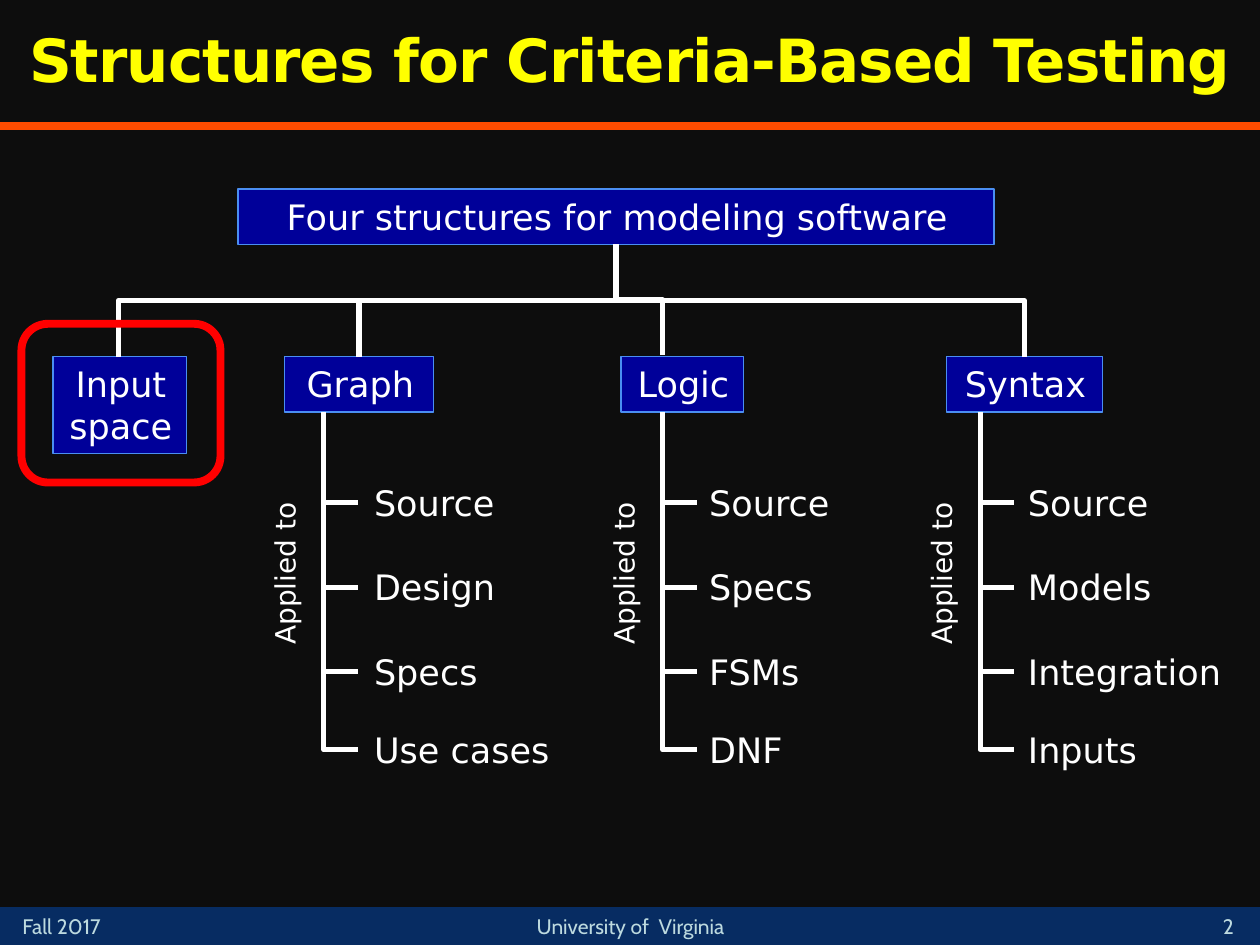
import pptx
import pptx.util
import pptx.dml.color
import pptx.enum.shapes
import pptx.enum.text
import pptx.oxml.ns
import lxml.etree

SCALE = 9144  # EMU per px, 100 px to the inch
SANS, CABIN = "DejaVu Sans", "Cabin"
WHITE, PALE = "FFFFFF", "BDDADF"
SHAPE = pptx.enum.shapes.MSO_SHAPE
LINK = pptx.enum.shapes.MSO_CONNECTOR
ALIGN = pptx.enum.text.PP_ALIGN
ANCHOR = pptx.enum.text.MSO_ANCHOR
FIT = pptx.enum.text.MSO_AUTO_SIZE
qn = pptx.oxml.ns.qn

ROWS = (377, 444, 511, 573)
# name, box left, box width, trunk x, items left, items
BRANCHES = (
    ("Graph", 226, 118, 257, 285, ("Source", "Design", "Specs", "Use cases")),
    ("Logic", 493, 97, 526, 551, ("Source", "Specs", "FSMs", "DNF")),
    ("Syntax", 751, 124, 778, 804, ("Source", "Models", "Integration", "Inputs")),
)
DROPS = ((94, 283), (285, 283), (526, 282), (813, 283))


def px(*nums):
    return [pptx.util.Emu(round(n * SCALE)) for n in nums]


def color(code):
    return pptx.dml.color.RGBColor.from_string(code)


def style(para, size, tint=WHITE, face=SANS, align=ALIGN.LEFT):
    para.alignment = align
    para.font.size = pptx.util.Pt(size)
    para.font.name = face
    para.font.color.rgb = color(tint)


def write(shape, text, size=20, align=ALIGN.LEFT):
    """Fill a diagram shape with one slightly indented paragraph."""
    frame = shape.text_frame
    frame.word_wrap = True
    frame.auto_size = FIT.SHAPE_TO_FIT_TEXT
    frame.vertical_anchor = ANCHOR.TOP
    para = frame.paragraphs[0]
    para.text = text
    para.space_before = pptx.util.Pt(7)
    style(para, size, align=align)
    para._p.get_or_add_pPr().set("marL", str(2 * SCALE))


def add_block(shapes, kind, at, fill=None, line=None, width=0.75):
    block = shapes.add_shape(kind, *px(*at))
    block.shadow.inherit = False
    if fill:
        block.fill.solid()
        block.fill.fore_color.rgb = color(fill)
    else:
        block.fill.background()
    if line:
        block.line.color.rgb = color(line)
        block.line.width = pptx.util.Pt(width)
    else:
        block.line.fill.background()
    return block


def add_box(shapes, text, at):
    box = add_block(shapes, SHAPE.RECTANGLE, at, "000099", "4A8EF2")
    write(box, text, align=ALIGN.CENTER)


def add_label(shapes, text, at, size=20, turn=0):
    label = shapes.add_textbox(*px(*at))
    label.rotation = turn
    write(label, text, size)


def add_link(shapes, kind, ends, tint=WHITE, width=3):
    link = shapes.add_connector(kind, *px(*ends))
    link.line.color.rgb = color(tint)
    link.line.width = pptx.util.Pt(width)
    lxml.etree.SubElement(link._element.spPr, qn("a:effectLst"))
    return link


def add_bend(shapes, x1, y1, x2, y2, preset):
    """Draw an elbow that leaves downwards, by turning a sideways one."""
    mid_x, mid_y = (x1 + x2) / 2, (y1 + y2) / 2
    half, rise = (y2 - y1) / 2, abs(x2 - x1) / 2
    right = x2 > x1
    start = half if right else -half
    ends = (mid_x + start, mid_y - rise, mid_x - start, mid_y + rise)
    link = add_link(shapes, LINK.ELBOW, ends)
    props = link._element.spPr
    props.find(qn("a:xfrm")).set("rot", str((270 if right else 90) * 60000))
    props.find(qn("a:prstGeom")).set("prst", preset)


def add_branch(slide, name, left, width, trunk, start, items):
    shapes = slide.shapes.add_group_shape().shapes
    add_box(shapes, name, (left, 283, width, 44))
    for top, item in zip(ROWS, items):
        room = 185 if len(item) > 9 else 162
        add_label(shapes, item, (start, top, room, 44))
    add_label(shapes, "Applied to", (trunk - 112, 424, 162, 37), 16, 270)
    for top in ROWS:
        add_bend(shapes, trunk, 327, trunk + 27, top + 22, "bentConnector2")


def add_foot(slide, text, at, align=ALIGN.LEFT, anchor=ANCHOR.TOP):
    frame = slide.shapes.add_textbox(*px(*at)).text_frame
    frame.word_wrap = True
    frame.vertical_anchor = anchor
    frame.text = text
    style(frame.paragraphs[0], 12, PALE, CABIN, align)


def add_title(slide, text):
    title = slide.shapes.title
    title.left, title.top, title.width, title.height = px(0, 0, 1000, 100)
    frame = title.text_frame
    frame.text = text
    frame.word_wrap = True
    frame.auto_size = FIT.NONE
    frame.vertical_anchor = ANCHOR.MIDDLE
    para = frame.paragraphs[0]
    style(para, 34, "FFFF00", align=ALIGN.CENTER)
    para.font.bold = True
    para.line_spacing = 0.9
    para.runs[0].font._element.set("spc", "-50")


def add_frame(slide):
    """Add the rule under the title and the footer band."""
    add_block(slide.shapes, SHAPE.RECTANGLE, (0, 720, 1000, 30), "072C62")
    add_link(slide.shapes, LINK.STRAIGHT, (0, 100, 1000, 100), "FF4C00", 4.5)
    add_foot(slide, "Fall 2017", (8, 720, 117, 30))
    add_foot(slide, "2", (950, 717, 50, 33), ALIGN.CENTER, ANCHOR.BOTTOM)
    add_foot(slide, "University of  Virginia", (367, 720, 267, 30), ALIGN.CENTER)


def main():
    deck = pptx.Presentation()
    deck.slide_width, deck.slide_height = px(1000, 750)
    slide = deck.slides.add_slide(deck.slide_layouts[5])
    slide.background.fill.solid()
    slide.background.fill.fore_color.rgb = color("0D0D0D")
    add_title(slide, "Structures for Criteria-Based Testing")
    add_frame(slide)
    shapes = slide.shapes
    add_box(shapes, "Four structures for modeling software", (189, 150, 600, 44))
    add_box(shapes, "Input space", (42, 283, 106, 77))
    for branch in BRANCHES:
        add_branch(slide, *branch)
    for x, y in DROPS:
        add_bend(shapes, 489, 194, x, y, "bentConnector3")
    add_block(shapes, SHAPE.ROUNDED_RECTANGLE, (17, 257, 158, 126),
              line="FF0000", width=4.5)
    deck.save("out.pptx")


if __name__ == "__main__":
    main()
